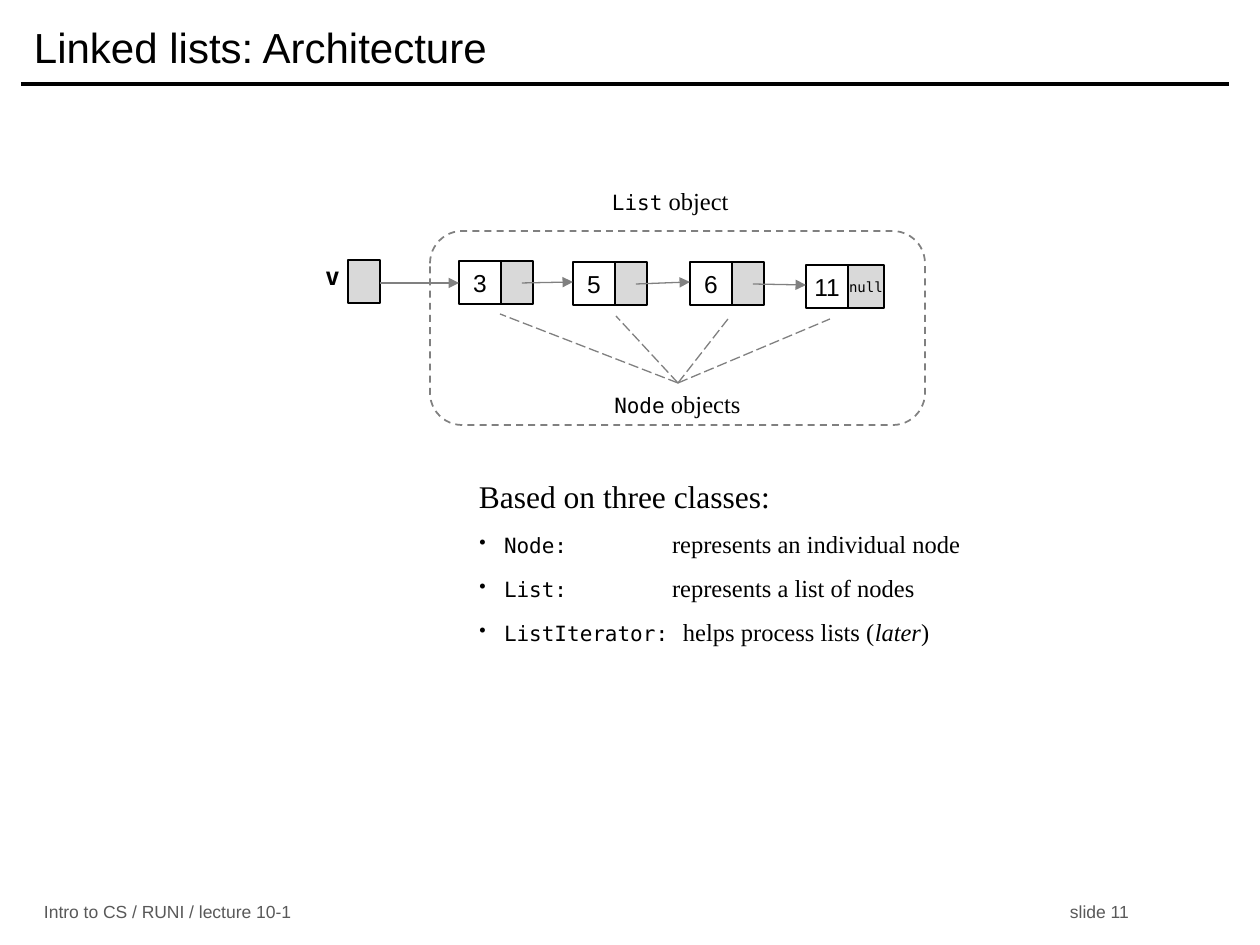
from lxml import etree
from pptx import Presentation
from pptx.dml.color import RGBColor
from pptx.enum.dml import MSO_LINE
from pptx.enum.shapes import MSO_CONNECTOR, MSO_SHAPE
from pptx.enum.text import MSO_ANCHOR, PP_ALIGN
from pptx.oxml.ns import qn
from pptx.util import Pt

EMU_PER_PX = 914400 / 126
STRAIGHT = MSO_CONNECTOR.STRAIGHT
RECTANGLE, ROUNDED = MSO_SHAPE.RECTANGLE, MSO_SHAPE.ROUNDED_RECTANGLE
MIDDLE, TOP = MSO_ANCHOR.MIDDLE, MSO_ANCHOR.TOP
LEFT, CENTER, RIGHT = PP_ALIGN.LEFT, PP_ALIGN.CENTER, PP_ALIGN.RIGHT
DASH, LONG_DASH = MSO_LINE.DASH, MSO_LINE.LONG_DASH

SANS, SERIF, MONO = "Arial", "Times New Roman", "DejaVu Sans Mono"
BLACK, WHITE, GRAY, LIGHT, FOOTER = "000000", "FFFFFF", "808080", "D9D9D9", "595959"


def px(length):
    return round(length * EMU_PER_PX)


def colour(value):
    return RGBColor.from_string(value)


def write(paragraph, text, *, size, font=SERIF, fill=BLACK, bold=False, italic=False):
    run = paragraph.add_run()
    run.text = text
    run.font.size = Pt(size)
    run.font.name = font
    run.font.color.rgb = colour(fill)
    run.font.bold = bold
    run.font.italic = italic


def add_bullet(paragraph, indent, tab):
    properties = paragraph._p.get_or_add_pPr()
    properties.set("marL", str(px(indent)))
    properties.set("indent", str(-px(indent)))
    etree.SubElement(properties, qn("a:buFont"), typeface=SERIF)
    etree.SubElement(properties, qn("a:buChar"), char="•")
    tabs = etree.SubElement(properties, qn("a:tabLst"))
    etree.SubElement(tabs, qn("a:tab"), pos=str(px(tab)), algn="l")


class SlideBuilder:
    """Draws styled elements on one slide, with lengths in px."""

    def __init__(self, slide):
        self.slide = slide

    def frame(self, shape, anchor=MIDDLE, align=LEFT, side=13, wrap=True):
        frame = shape.text_frame
        frame.word_wrap = wrap
        frame.vertical_anchor = anchor
        frame.margin_left = frame.margin_right = px(side)
        frame.margin_top = frame.margin_bottom = px(6)
        frame.paragraphs[0].alignment = align
        return frame

    def title(self, text, left, top, width, height):
        shape = self.slide.shapes.title
        shape.left, shape.top = px(left), px(top)
        shape.width, shape.height = px(width), px(height)
        write(self.frame(shape).paragraphs[0], text, size=24, font=SANS)

    def box(self, left, top, width, height, fill=WHITE, line=BLACK, weight=0.75,
            dash=None, kind=RECTANGLE):
        shape = self.slide.shapes.add_shape(kind, px(left), px(top), px(width), px(height))
        shape.shadow.inherit = False
        shape.fill.solid()
        shape.fill.fore_color.rgb = colour(fill)
        shape.line.color.rgb = colour(line)
        shape.line.width = Pt(weight)
        shape.line.dash_style = dash
        return shape

    def cell(self, text, left, top, width, height, fill=WHITE, size=14, font=SANS):
        shape = self.box(left, top, width, height, fill)
        if text:
            frame = self.frame(shape, align=CENTER, side=0, wrap=False)
            write(frame.paragraphs[0], text, size=size, font=font)

    def text(self, left, top, width, height, **layout):
        shape = self.slide.shapes.add_textbox(px(left), px(top), px(width), px(height))
        return self.frame(shape, **layout)

    def label(self, code, words, left, top, width, height, align):
        paragraph = self.text(left, top, width, height, align=align).paragraphs[0]
        write(paragraph, code, size=12, font=MONO)
        write(paragraph, words, size=14)

    def line(self, start, end, fill=GRAY, weight=0.75, dash=None, arrow=False):
        connector = self.slide.shapes.add_connector(STRAIGHT, *map(px, start + end))
        connector.line.color.rgb = colour(fill)
        connector.line.width = Pt(weight)
        connector.line.dash_style = dash
        if arrow:
            etree.SubElement(connector.line._get_or_add_ln(), qn("a:tailEnd"), type="triangle")
        etree.SubElement(connector._element.spPr, qn("a:effectLst"))


def draw_list(builder):
    value_width, link_width, height = 42, 32, 43
    nodes = [("3", 459, 261), ("5", 573, 262), ("6", 690, 262), ("11", 806, 265)]
    builder.box(430, 231, 495, 194, line=GRAY, weight=1, dash=DASH, kind=ROUNDED)
    for value, left, top in nodes:
        last = value == nodes[-1][0]
        builder.cell(value, left, top, value_width, height)
        builder.cell("null" if last else "", left + value_width, top,
                     36 if last else link_width, height, LIGHT, size=8, font=MONO)

    builder.cell("", 348, 260, link_width, height, LIGHT)
    builder.line((380, 283), (459, 283), arrow=True)
    for (_, left, top), (_, next_left, next_top) in zip(nodes, nodes[1:]):
        builder.line((left + 63, top + 22), (next_left, next_top + 20), arrow=True)

    for end in [(500, 314), (616, 316), (728, 319), (830, 319)]:
        builder.line((678, 383), end, dash=LONG_DASH)
    builder.label("Node", " objects", 525, 383, 305, 42, CENTER)
    builder.label("List", " object", 599, 164, 357, 73, LEFT)
    variable = builder.text(290, 255, 63, 34, anchor=TOP, align=RIGHT)
    write(variable.paragraphs[0], "v", size=14, font=MONO, bold=True)


def draw_classes(builder):
    frame = builder.text(466, 471, 546, 220, anchor=TOP)
    write(frame.paragraphs[0], "Based on three classes:", size=18)
    classes = [
        ("Node:", 193, [("represents an individual node", False)]),
        ("List:", 193, [("represents a list of nodes", False)]),
        ("ListIterator:", 204, [("helps process lists (", False), ("later", True), (")", False)]),
    ]
    for name, tab, description in classes:
        paragraph = frame.add_paragraph()
        paragraph.space_before = Pt(6)
        add_bullet(paragraph, 25, tab)
        write(paragraph, name, size=12, font=MONO)
        write(paragraph, "\t", size=16)
        for words, italic in description:
            write(paragraph, words, size=14, italic=italic)


def main():
    presentation = Presentation()
    presentation.slide_width, presentation.slide_height = px(1260), px(945)
    builder = SlideBuilder(presentation.slides.add_slide(presentation.slide_layouts[5]))
    builder.line((21, 84), (1229, 84), fill=BLACK, weight=2)
    builder.title("Linked lists: Architecture", 21, 10, 1207, 73)
    draw_list(builder)
    draw_classes(builder)
    for text, left, width in [("Intro to CS / RUNI / lecture 10-1", 31, 300), ("slide 11", 1057, 100)]:
        footer = builder.text(left, 894, width, 36)
        write(footer.paragraphs[0], text, size=10, font=SANS, fill=FOOTER)
    presentation.save("out.pptx")


if __name__ == "__main__":
    main()
